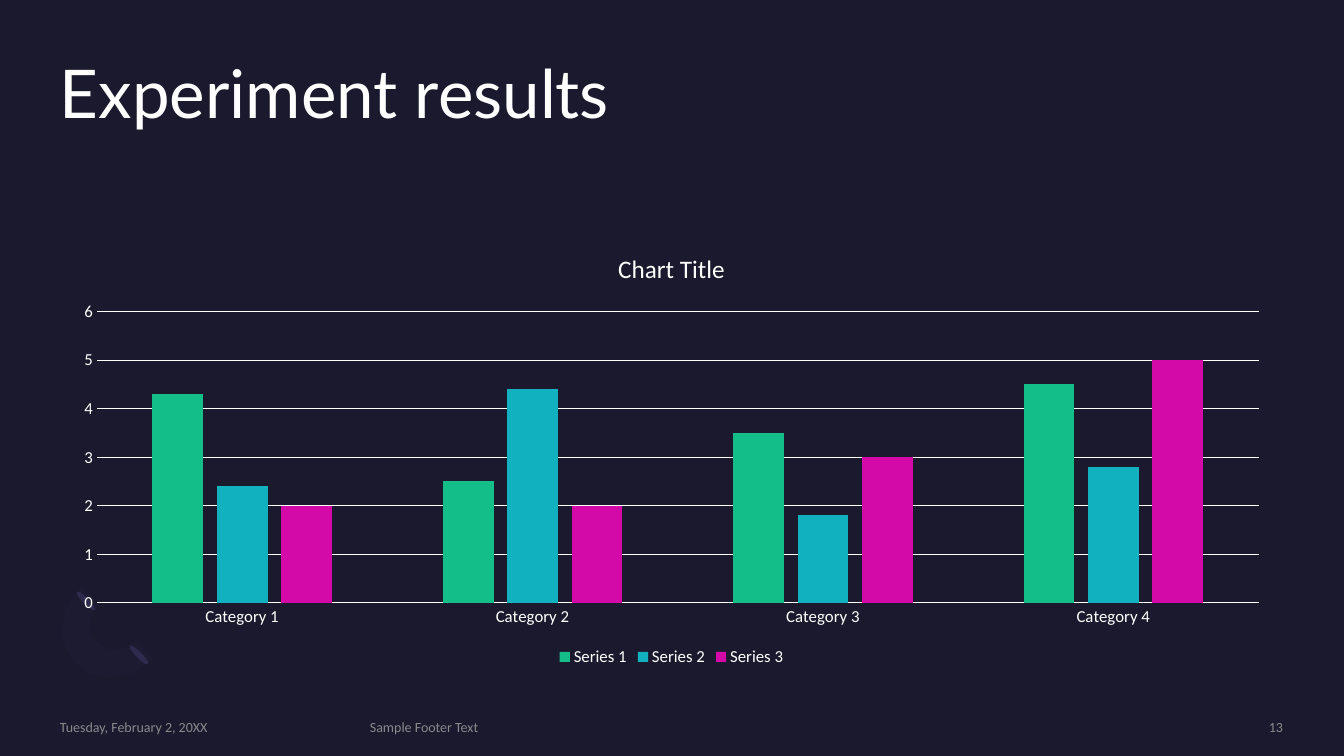
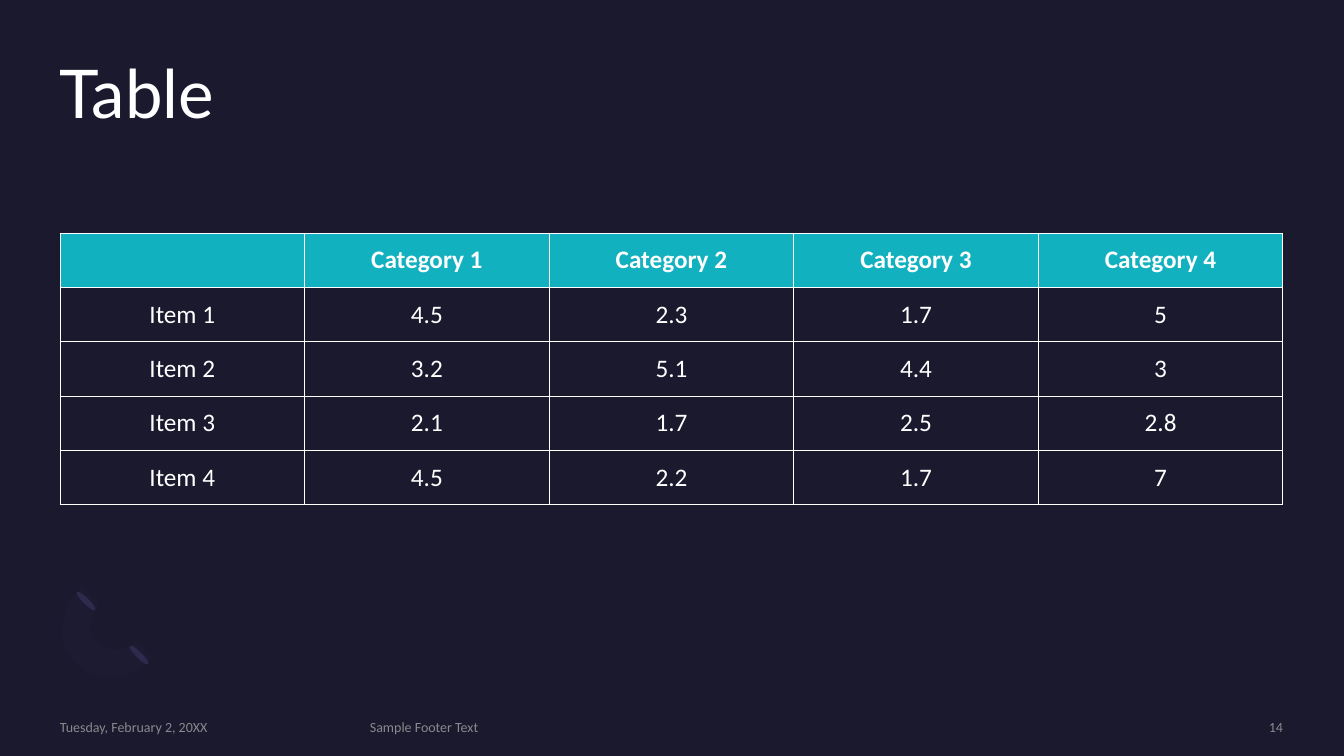
from lxml.etree import SubElement as Sub
from pptx import Presentation
from pptx.chart.data import CategoryChartData as Data
from pptx.dml.color import RGBColor as RGB
from pptx.enum.chart import XL_CHART_TYPE as Kind, XL_LEGEND_POSITION as Spot
from pptx.enum.chart import XL_TICK_MARK as Tick
from pptx.enum.shapes import MSO_SHAPE as Shape
from pptx.enum.text import MSO_ANCHOR as Anchor, PP_ALIGN as Align
from pptx.oxml.ns import qn
from pptx.util import Pt

PX = 914400 / 100.8
HUES = {"back": "1B192E", "text": "FFFFFF", "foot": "A6A6A6", "leaf": "2C284A",
        "ring": "7771B2", "green": "13BE89", "teal": "12B1BF", "pink": "D40AA8"}
HUES = {name: RGB.from_string(code) for name, code in HUES.items()}
LEFT, WIDE, TOP = 60, 1223, 233


def px(*sizes):
    """Turn pixels into a list of EMU lengths."""
    return [round(size * PX) for size in sizes]


def write(slide, text, box, size, face, hue="text", align=Align.LEFT):
    """Add a text box without insets and return its frame."""
    frame = slide.shapes.add_textbox(*px(*box)).text_frame
    frame.word_wrap = True
    frame.margin_left = frame.margin_right = 0
    frame.margin_top = frame.margin_bottom = 0
    frame.text = text
    para = frame.paragraphs[0]
    para.alignment = align
    font = para.runs[0].font
    font.size, font.name = Pt(size), face
    font.color.rgb = HUES[hue]
    return frame


deck = Presentation()
deck.slide_width, deck.slide_height = px(1344, 756)
back = deck.slide_master.background.fill
back.solid()
back.fore_color.rgb = HUES["back"]

# Outline of the faint ring: straight steps and curves
START = (77, 664)
PATH = [[(56, 644), (58, 610), (82, 587)], [(100, 605)],
        [(88, 616), (87, 634), (97, 643)], [(107, 653), (124, 652), (136, 641)],
        [(153, 659)], [(131, 681), (96, 684), START]]
ring, last = [], START
for part in PATH:
    if len(part) == 1:
        ring.append(part[0])
    else:
        for step in range(1, 13):
            t = step / 12
            mix = ((1 - t) ** 3, 3 * t * (1 - t) ** 2, 3 * t * t * (1 - t), t ** 3)
            ring.append([sum(m * dot[axis] for m, dot in zip(mix, [last] + part))
                         for axis in (0, 1)])
    last = part[-1]

# Shared parts
slides = []
for page, title in enumerate(("Experiment results", "Table"), 13):
    slide = deck.slides.add_slide(deck.slide_layouts[6])
    slides.append(slide)
    marks = []
    for x, y in ((136, 642), (83, 588)):
        leaf = slide.shapes.add_shape(Shape.OVAL, *px(x, y, 6, 26))
        leaf.rotation = 135
        marks.append((leaf, "leaf"))
    pen = slide.shapes.build_freeform(*px(*START))
    pen.add_line_segments([px(*dot) for dot in ring], close=True)
    band = pen.convert_to_shape()
    marks.append((band, "ring"))
    for mark, hue in marks:
        mark.shadow.inherit = False
        mark.fill.solid()
        mark.fill.fore_color.rgb = HUES[hue]
        mark.line.fill.background()
    tint = band.fill._xPr.find(".//" + qn("a:srgbClr"))
    Sub(tint, qn("a:alpha"), val="3000")

    head = write(slide, title, (LEFT, 60, WIDE, 147), 48, "Lato")
    head.paragraphs[0].line_spacing = 0.9
    for text, x, wide, align in (
            ("Tuesday, February 2, 20XX", LEFT, 290, Align.LEFT),
            ("Sample Footer Text", 370, 704, Align.LEFT),
            (str(page), 1097, 186, Align.RIGHT)):
        foot = write(slide, text, (x, 718, wide, 17), 10, "Calibri", "foot", align)
        foot.vertical_anchor = Anchor.MIDDLE
        tint = foot._txBody.find(".//" + qn("a:srgbClr"))
        Sub(tint, qn("a:alpha"), val="80000")

# Chart
data = Data()
data.categories = [f"Category {n}" for n in range(1, 5)]
for n, vals in enumerate(((4.3, 2.5, 3.5, 4.5), (2.4, 4.4, 1.8, 2.8),
                          (2, 2, 3, 5)), 1):
    data.add_series(f"Series {n}", vals)
chart = slides[0].shapes.add_chart(
    Kind.COLUMN_CLUSTERED, *px(LEFT, TOP, WIDE, 438), data).chart
chart.has_title = True
chart.chart_title.text_frame.text = "Chart Title"
name = chart.chart_title.text_frame.paragraphs[0].runs[0].font
name.bold = False
chart.has_legend = True
chart.legend.position = Spot.BOTTOM
chart.legend.include_in_layout = False
cats, vals = chart.category_axis, chart.value_axis
for font, size in ((chart.font, 10), (name, 18), (chart.legend.font, 12),
                   (cats.tick_labels.font, 12), (vals.tick_labels.font, 12)):
    font.size, font.name = Pt(size), "Calibri"
    font.color.rgb = HUES["text"]
for axis in (cats, vals):
    axis.major_tick_mark = axis.minor_tick_mark = Tick.NONE
for line in (cats.format.line, vals.major_gridlines.format.line):
    line.width = Pt(0.75)
    line.color.rgb = HUES["text"]
vals.format.line.fill.background()
vals.minimum_scale, vals.maximum_scale, vals.major_unit = 0, 6, 1
plot = chart.plots[0]
plot.vary_by_categories = False
plot.gap_width, plot.overlap = 219, -27
for series, hue in zip(plot.series, ("green", "teal", "pink")):
    series.format.fill.solid()
    series.format.fill.fore_color.rgb = HUES[hue]

# Table
rows = [("", "Category 1", "Category 2", "Category 3", "Category 4"),
        ("Item 1", "4.5", "2.3", "1.7", "5"),
        ("Item 2", "3.2", "5.1", "4.4", "3"),
        ("Item 3", "2.1", "1.7", "2.5", "2.8"),
        ("Item 4", "4.5", "2.2", "1.7", "7")]
table = slides[1].shapes.add_table(
    len(rows), len(rows[0]), *px(LEFT, TOP, WIDE, 272)).table
table.horz_banding = False
for r, row in enumerate(rows):
    for c, text in enumerate(row):
        cell = table.cell(r, c)
        props = cell._tc.get_or_add_tcPr()
        for side in "LRTB":
            edge = Sub(props, qn(f"a:ln{side}"), w=str(Pt(0.75)))
            Sub(Sub(edge, qn("a:solidFill")), qn("a:srgbClr"), val=str(HUES["text"]))
        if r == 0:
            cell.fill.solid()
            cell.fill.fore_color.rgb = HUES["teal"]
        else:
            cell.fill.background()
        cell.vertical_anchor = Anchor.MIDDLE
        cell.text = text
        para = cell.text_frame.paragraphs[0]
        para.alignment = Align.CENTER
        para.font.size = Pt(18)
        for run in para.runs:
            run.font.size, run.font.name = Pt(18), "Calibri"
            run.font.bold = r == 0
            run.font.color.rgb = HUES["text"]

deck.save("out.pptx")
